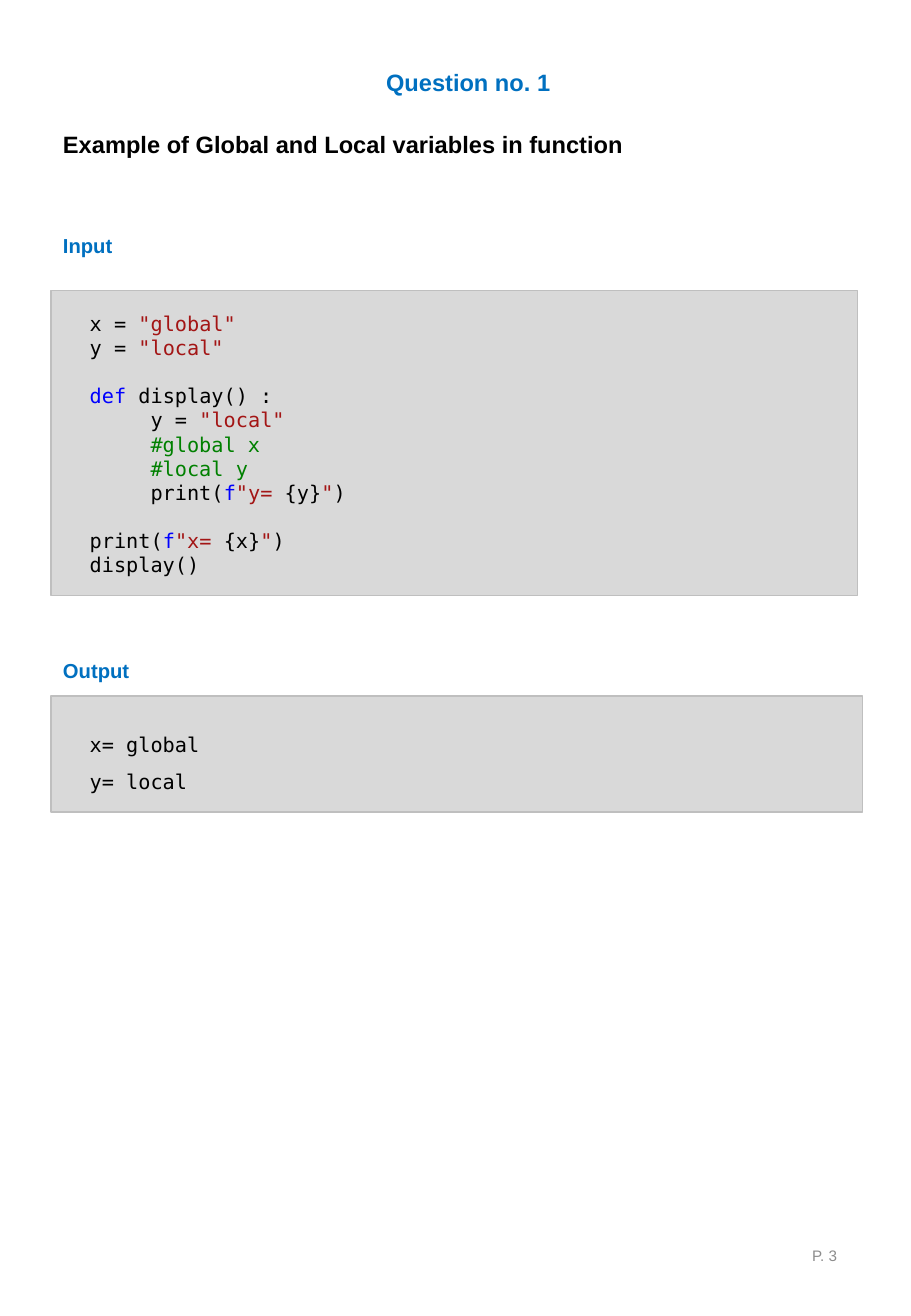
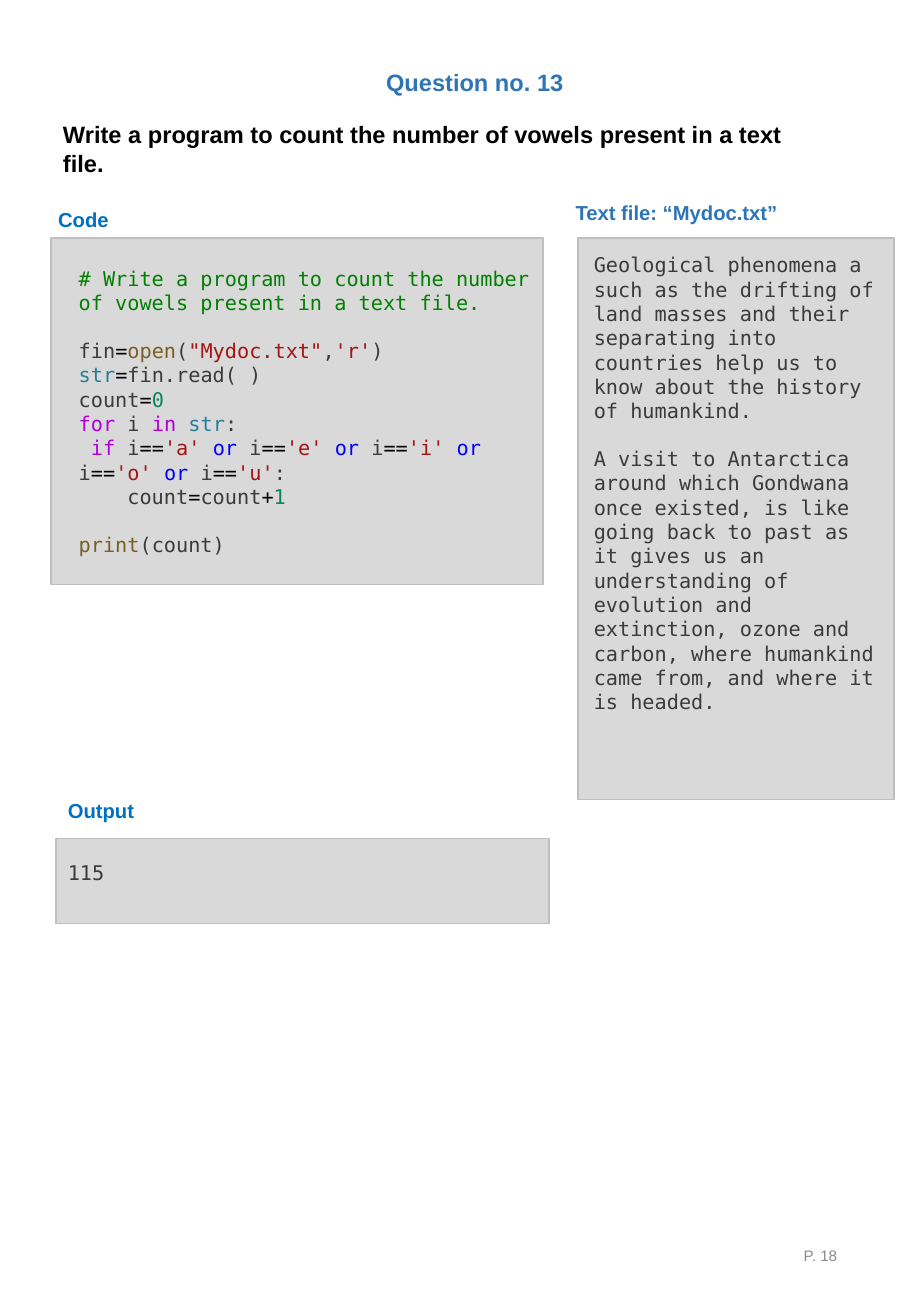
"""Build two worksheet pages showing Python questions with code and output."""
from pptx import Presentation
from pptx.dml.color import RGBColor
from pptx.enum.shapes import MSO_SHAPE
from pptx.enum.text import MSO_ANCHOR, PP_ALIGN
from pptx.util import Inches, Pt

BLACK = RGBColor(0x00, 0x00, 0x00)
INK = RGBColor(0x3B, 0x3B, 0x3B)
FOOTER_GREY = RGBColor(0x8C, 0x8C, 0x8C)
PANEL_FILL = RGBColor(0xD9, 0xD9, 0xD9)
PANEL_EDGE = RGBColor(0xBF, 0xBF, 0xBF)
BLUE = RGBColor(0x00, 0x70, 0xC0)
SOFT_BLUE = RGBColor(0x2E, 0x75, 0xB6)
STRING = RGBColor(0xA3, 0x15, 0x15)
COMMENT = RGBColor(0x00, 0x80, 0x00)
KEYWORD = RGBColor(0x00, 0x00, 0xFF)
CONTROL = RGBColor(0xAF, 0x00, 0xDB)
BUILTIN = RGBColor(0x79, 0x5E, 0x26)
TYPE = RGBColor(0x26, 0x7F, 0x99)
NUMBER = RGBColor(0x09, 0x86, 0x58)

SANS, MONO = "Arial", "DejaVu Sans Mono"
COLUMNS, ROWS = 75, 108.3
CELL = Inches(0.1)
MARGIN = 4.2
LABEL_SIZE = (17.5, 3)
CODE_LINE = Pt(14)


def write(slide, left, top, width, height, lines, font=SANS, size=12, color=BLACK,
          bold=False, align=PP_ALIGN.LEFT, anchor=MSO_ANCHOR.TOP, spacing=None, gaps=()):
    """Place lines, each a string or a list of (text, colour) runs; gaps precede lines."""
    box = slide.shapes.add_textbox(*(round(n * CELL) for n in (left, top, width, height)))
    frame = box.text_frame
    frame.word_wrap = True
    frame.vertical_anchor = anchor
    for index, line in enumerate(lines):
        paragraph = frame.paragraphs[0] if index == 0 else frame.add_paragraph()
        paragraph.alignment = align
        if spacing:
            paragraph.line_spacing = spacing
        if index in gaps:
            paragraph.space_before = CODE_LINE
        for text, run_color in [(line, color)] if isinstance(line, str) else line:
            run = paragraph.add_run()
            run.text = text
            run.font.name = font
            run.font.size = Pt(size)
            run.font.bold = bold
            run.font.color.rgb = run_color


global_code = [
    [("x = ", BLACK), ('"global"', STRING)],
    [("y = ", BLACK), ('"local"', STRING)],
    [("def ", KEYWORD), ("display() :", BLACK)],
    [("     y = ", BLACK), ('"local"', STRING)],
    [("     #global x", COMMENT)],
    [("     #local y", COMMENT)],
    [("     print(", BLACK), ("f", KEYWORD), ('"y= ', STRING), ("{y}", BLACK),
     ('"', STRING), (")", BLACK)],
    [("print(", BLACK), ("f", KEYWORD), ('"x= ', STRING), ("{x}", BLACK),
     ('"', STRING), (")", BLACK)],
    "display()",
]

vowel_test = [(" ", INK), ("if", CONTROL)]
for vowel in "aeiou":
    vowel_test += [(" i", INK), ("==", BLACK), (f"'{vowel}'", STRING)]
    vowel_test += [(":", INK)] if vowel == "u" else [(" ", INK), ("or", KEYWORD)]

vowel_code = [
    [("# Write a program to count the number of vowels present in a text file.", COMMENT)],
    [("fin", INK), ("=", BLACK), ("open", BUILTIN), ("(", INK), ('"Mydoc.txt"', STRING),
     (",", INK), ("'r'", STRING), (")", INK)],
    [("str", TYPE), ("=", BLACK), ("fin.read( )", INK)],
    [("count", INK), ("=", BLACK), ("0", NUMBER)],
    [("for", CONTROL), (" i ", INK), ("in ", CONTROL), ("str", TYPE), (":", INK)],
    vowel_test,
    [("    count", INK), ("=", BLACK), ("count", INK), ("+", BLACK), ("1", NUMBER)],
    [("print", BUILTIN), ("(count)", INK)],
]

mydoc_text = [
    "Geological phenomena a such as the drifting of land masses and their separating into "
    "countries help us to know about the history of humankind.",
    "A visit to Antarctica around which Gondwana",
    "once existed, is like going back to past as it gives us an understanding of evolution "
    "and extinction, ozone and carbon, where humankind came from, and where it is headed.",
]

pages = [
    {
        "title": "Question no. 1", "title_color": BLUE, "footer": "P. 3",
        "question": "Example of Global and Local variables in function",
        "question_area": (MARGIN, 10.2, 58, 3.4),
        "panels": [(MARGIN, 23.9, 66.4, 25.1), (MARGIN, 57.3, 66.8, 9.5)],
        "labels": [("Input", BLUE, MARGIN, 18.7), ("Output", BLUE, MARGIN, 53.7)],
        "listings": [
            ((6.4, 25.1, 46.2, 23.2), global_code, {"gaps": (2, 7)}),
            ((6.4, 58.8, 34.5, 6.7), ["x= global", "y= local"], {"spacing": 1.5}),
        ],
    },
    {
        "title": "Question no. 13", "title_color": SOFT_BLUE, "footer": "P. 18",
        "question": "Write a program to count the number of vowels present in a text file.",
        "question_area": (MARGIN, 9.4, 63.3, 5.7),
        "panels": [(47.6, 19.6, 26, 46.2), (MARGIN, 19.6, 40.5, 28.5), (4.6, 69, 40.6, 7)],
        "labels": [("Code", BLUE, 3.8, 16.6), ("Output", BLUE, 4.6, 65.2),
                   ("Text file: “Mydoc.txt”", SOFT_BLUE, 46.4, 16)],
        "listings": [
            ((5.5, 21.4, 41.4, 25.2), vowel_code, {"gaps": (1, 7)}),
            ((4.6, 70.3, 36.2, 3), ["115"], {"color": INK}),
            ((47.9, 20.3, 25.2, 35.3), mydoc_text, {"color": INK, "gaps": (1,)}),
        ],
    },
]

deck = Presentation()
deck.slide_width = round(COLUMNS * CELL)
deck.slide_height = round(ROWS * CELL)

for page in pages:
    slide = deck.slides.add_slide(deck.slide_layouts[6])
    for area in page["panels"]:
        panel = slide.shapes.add_shape(MSO_SHAPE.RECTANGLE, *(round(n * CELL) for n in area))
        panel.shadow.inherit = False
        panel.fill.solid()
        panel.fill.fore_color.rgb = PANEL_FILL
        panel.line.color.rgb = PANEL_EDGE
        panel.line.width = Pt(1)
    write(slide, 30.8, 5.1, 20, 3.4, [page["title"]], size=14, bold=True,
          color=page["title_color"])
    write(slide, *page["question_area"], [page["question"]], size=14, bold=True)
    for label, label_color, left, top in page["labels"]:
        width = max(LABEL_SIZE[0], len(label) * 1.1)
        write(slide, left, top, width, LABEL_SIZE[1], [label], bold=True, color=label_color)
    for area, listing, style in page["listings"]:
        write(slide, *area, listing, font=MONO, **style)
    write(slide, 53, 100.4, 16.9, 5.8, [page["footer"]], size=9, color=FOOTER_GREY,
          align=PP_ALIGN.RIGHT, anchor=MSO_ANCHOR.MIDDLE)

deck.save("out.pptx")
